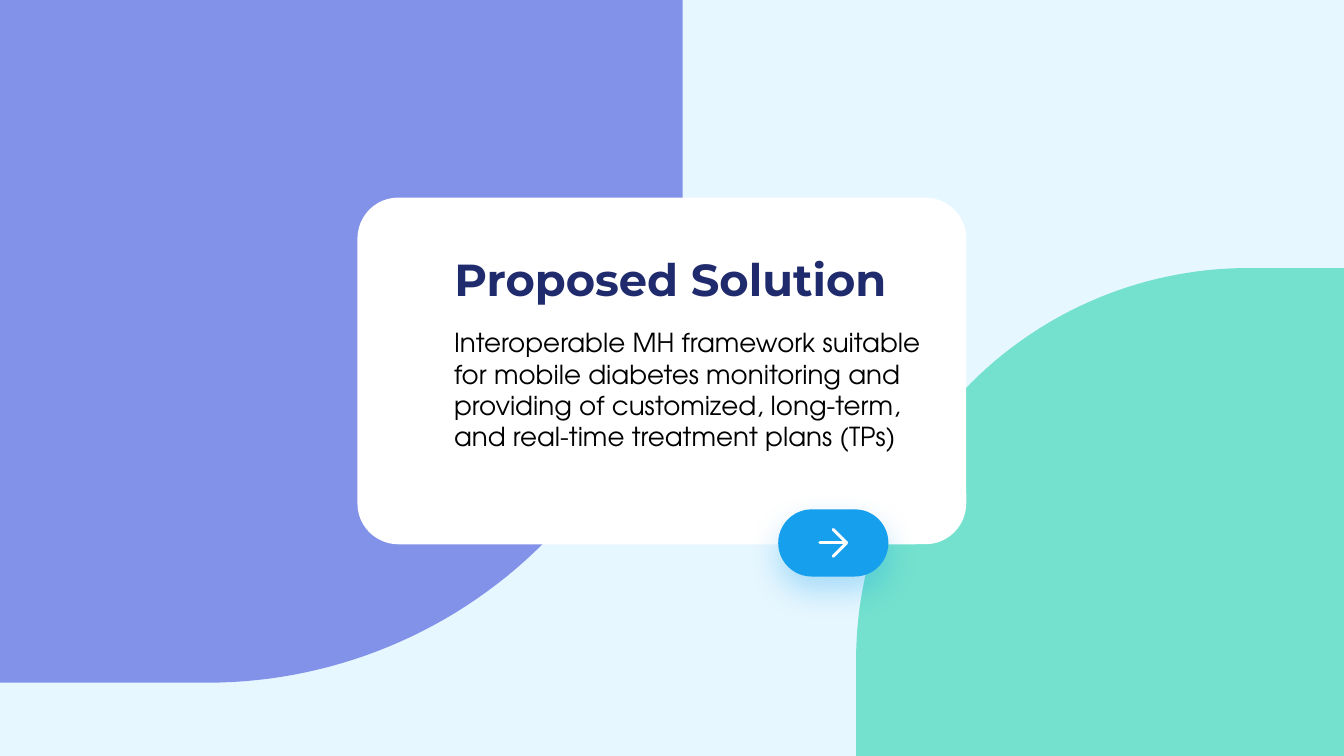
import math

from lxml import etree
from pptx import Presentation
from pptx.dml.color import RGBColor
from pptx.enum import shapes, text
from pptx.oxml.ns import qn
from pptx.util import Inches, Pt

SKY = RGBColor(0xE7, 0xF7, 0xFF)
PERIWINKLE = RGBColor(0x82, 0x92, 0xE8)
MINT = RGBColor(0x73, 0xE1, 0xCD)
WHITE = RGBColor(0xFF, 0xFF, 0xFF)
BLACK = RGBColor(0, 0, 0)
NAVY = RGBColor(0x1F, 0x2B, 0x6C)
BLUE = RGBColor(0x15, 0x9F, 0xED)

WIDTH = 10
HEIGHT = WIDTH * 9 / 16
ARC_STEPS = 60


def paint(shape, color):
    shape.shadow.inherit = False
    shape.fill.solid()
    shape.fill.fore_color.rgb = color
    shape.line.fill.background()


def add_blob(slide, corner, size, radius, direction, color):
    """Draw a square from a slide corner, with its opposite corner rounded.

    direction is 1 to grow right and down, -1 to grow left and up.
    """
    center = size - radius
    angles = [math.pi / 2 * step / ARC_STEPS for step in range(ARC_STEPS + 1)]
    outline = [(0, 0), (size, 0)]
    outline += [(center + radius * math.cos(a), center + radius * math.sin(a))
                for a in angles]
    outline.append((0, size))
    points = [(Inches(corner[0] + direction * x), Inches(corner[1] + direction * y))
              for x, y in outline]
    builder = slide.shapes.build_freeform(*points[0], scale=1.0)
    builder.add_line_segments(points[1:], close=True)
    paint(builder.convert_to_shape(), color)


def add_rounded_box(slide, left, top, width, height, rounding, color):
    box = slide.shapes.add_shape(
        shapes.MSO_SHAPE.ROUNDED_RECTANGLE,
        Inches(left), Inches(top), Inches(width), Inches(height))
    box.adjustments[0] = rounding
    paint(box, color)
    return box


def write(holder, wording, font_name, size, color, bold, anchor):
    frame = holder.text_frame
    frame.word_wrap = True
    frame.auto_size = text.MSO_AUTO_SIZE.NONE
    frame.vertical_anchor = anchor
    frame.margin_left = frame.margin_right = Inches(0.1)
    frame.margin_top = frame.margin_bottom = Inches(0.1)
    frame.text = wording
    paragraph = frame.paragraphs[0]
    paragraph.alignment = text.PP_ALIGN.LEFT
    paragraph.line_spacing = 1.0
    paragraph.space_before = Pt(0)
    font = paragraph.font
    font.name, font.size, font.bold = font_name, Pt(size), bold
    font.color.rgb = color


def add_card(slide, left, top, width, height):
    add_rounded_box(slide, left, top, width, height, 0.118, WHITE)

    title = slide.shapes.title
    title.left, title.top = Inches(left + 0.62), Inches(top + 0.14)
    title.width, title.height = Inches(3.48), Inches(0.92)
    write(title, "Proposed Solution", "Montserrat", 24, NAVY, True,
          text.MSO_ANCHOR.MIDDLE)
    # Bring the title in front of the card
    slide.shapes._spTree.append(title._element)

    summary = slide.shapes.add_textbox(
        Inches(left + 0.62), Inches(top + 0.86), Inches(3.71), Inches(0.88))
    write(summary,
          "Interoperable MH framework suitable for mobile diabetes monitoring "
          "and providing of customized, long-term, and real-time treatment "
          "plans (TPs)",
          "TeX Gyre Adventor", 14, BLACK, False, text.MSO_ANCHOR.TOP)


def add_glow(shape, color, opacity, blur, distance):
    """Cast a soft shadow straight down."""
    effects = shape._element.spPr.find(qn("a:effectLst"))
    shadow = etree.SubElement(
        effects, qn("a:outerShdw"), blurRad=str(Pt(blur)), dist=str(Pt(distance)),
        dir="5400000", algn="bl", rotWithShape="0")
    tint = etree.SubElement(shadow, qn("a:srgbClr"), val=str(color))
    etree.SubElement(tint, qn("a:alpha"), val=str(opacity * 1000))


def stroke_round(line_shape):
    line_shape.line.color.rgb = WHITE
    line_shape.line.width = Pt(1.6)
    outline = line_shape.line._get_or_add_ln()
    outline.set("cap", "rnd")
    etree.SubElement(outline, qn("a:round"))


def add_next_button(slide, left, top, width, height):
    button = add_rounded_box(slide, left, top, width, height, 0.5, BLUE)
    add_glow(button, BLUE, 30, 16.9, 7.5)

    middle_x, middle_y = left + width / 2, top + height / 2
    reach = 0.1
    tip = Inches(middle_x + reach), Inches(middle_y)
    shaft = slide.shapes.add_connector(
        shapes.MSO_CONNECTOR.STRAIGHT,
        Inches(middle_x - reach), Inches(middle_y), *tip)
    etree.SubElement(shaft._element.spPr, qn("a:effectLst"))
    stroke_round(shaft)

    wing_x = Inches(middle_x)
    builder = slide.shapes.build_freeform(
        wing_x, Inches(middle_y - reach), scale=1.0)
    builder.add_line_segments(
        [tip, (wing_x, Inches(middle_y + reach))], close=False)
    head = builder.convert_to_shape()
    head.shadow.inherit = False
    head.fill.background()
    stroke_round(head)


def main():
    deck = Presentation()
    deck.slide_width, deck.slide_height = Inches(WIDTH), Inches(HEIGHT)
    slide = deck.slides.add_slide(deck.slide_layouts[5])
    slide.background.fill.solid()
    slide.background.fill.fore_color.rgb = SKY

    add_blob(slide, (0, 0), 5.08, 3.54, 1, PERIWINKLE)
    add_blob(slide, (WIDTH, HEIGHT), 3.63, 2.92, -1, MINT)
    add_card(slide, 2.66, 1.47, 4.53, 2.58)
    add_next_button(slide, 5.79, 3.79, 0.82, 0.5)
    deck.save("out.pptx")


if __name__ == "__main__":
    main()
